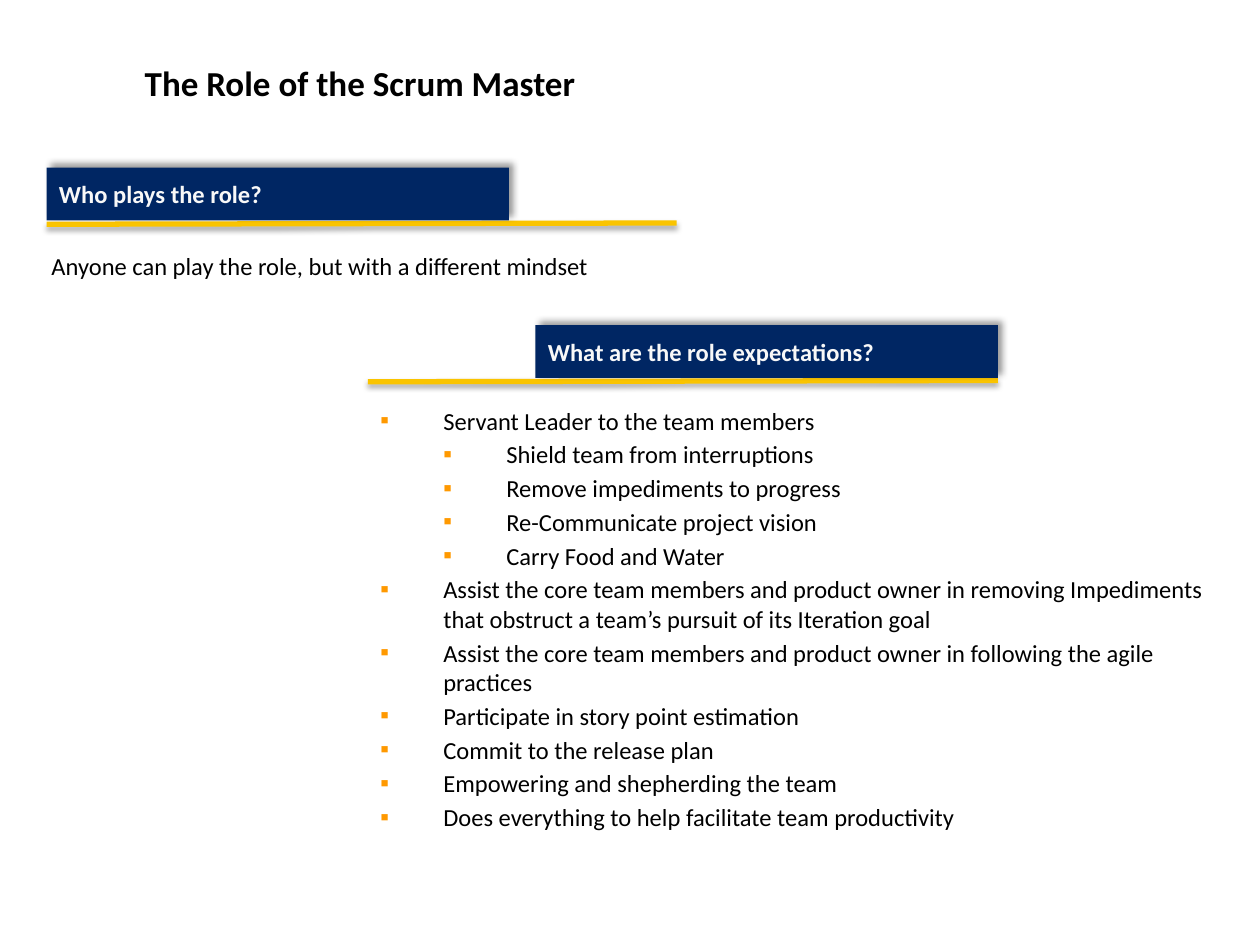
from lxml import etree
from pptx import Presentation
from pptx.dml.color import RGBColor
from pptx.enum.shapes import MSO_CONNECTOR, MSO_SHAPE
from pptx.enum.text import MSO_ANCHOR
from pptx.oxml.ns import qn
from pptx.util import Inches, Pt

RECTANGLE = MSO_SHAPE.RECTANGLE
STRAIGHT = MSO_CONNECTOR.STRAIGHT
MIDDLE = MSO_ANCHOR.MIDDLE

COLORS = {
    "text": "000000",
    "banner": "002663",
    "banner_text": "F8F8F8",
    "rule": "FAC400",
    "bullet": "FF9900",
}
FONT = "Calibri"
BODY_SIZE = 14
BANNER_WIDTH, BANNER_HEIGHT = Inches(3.67), Inches(0.42)
RULE_WIDTH = Inches(5)
INDENT = Inches(0.5)

EXPECTATIONS = [
    (1, "Servant Leader to the team members"),
    (2, "Shield team from interruptions"),
    (2, "Remove impediments to progress"),
    (2, "Re-Communicate project vision"),
    (2, "Carry Food and Water"),
    (1, "Assist the core team members and product owner in removing Impediments "
        "that obstruct a team’s pursuit of its Iteration goal"),
    (1, "Assist the core team members and product owner in following the agile practices"),
    (1, "Participate in story point estimation"),
    (1, "Commit to the release plan"),
    (1, "Empowering and shepherding the team"),
    (1, "Does everything to help facilitate team productivity"),
]


def color(name):
    return RGBColor.from_string(COLORS[name])


def add_shadow(shape, opacity, blur, distance, angle):
    """Cast a black outer shadow; blur and distance in points, angle in degrees."""
    properties = shape._element.spPr
    for old in properties.findall(qn("a:effectLst")):
        properties.remove(old)
    effects = etree.SubElement(properties, qn("a:effectLst"))
    shadow = etree.SubElement(
        effects, qn("a:outerShdw"), blurRad=str(Pt(blur)), dist=str(Pt(distance)),
        dir=str(angle * 60000), rotWithShape="0")
    black = etree.SubElement(shadow, qn("a:srgbClr"), val="000000")
    etree.SubElement(black, qn("a:alpha"), val=str(opacity * 1000))


def add_run(paragraph, text, size=BODY_SIZE, color_name="text", bold=False):
    run = paragraph.add_run()
    run.text = text
    run.font.name = FONT
    run.font.size = Pt(size)
    run.font.bold = bold
    run.font.color.rgb = color(color_name)


def add_text_frame(slide, left, top, width, height):
    frame = slide.shapes.add_textbox(left, top, width, height).text_frame
    frame.word_wrap = True
    return frame


def add_bullet(paragraph, level):
    properties = paragraph._p.get_or_add_pPr()
    properties.set("marL", str(level * INDENT))
    properties.set("indent", str(-INDENT))
    bullet_color = etree.SubElement(properties, qn("a:buClr"))
    etree.SubElement(bullet_color, qn("a:srgbClr"), val=COLORS["bullet"])
    etree.SubElement(properties, qn("a:buFont"), typeface=FONT)
    etree.SubElement(properties, qn("a:buChar"), char="▪")


def add_heading(slide, left, top, text, rule_left):
    """Place a banner with a gold rule running under it."""
    rule_top = top + Inches(0.44)
    rule = slide.shapes.add_connector(
        STRAIGHT, rule_left, rule_top + Inches(0.01), rule_left + RULE_WIDTH, rule_top)
    rule.line.color.rgb = color("rule")
    rule.line.width = Pt(3)
    add_shadow(rule, 35, 3.1, 1.8, 90)

    banner = slide.shapes.add_shape(RECTANGLE, left, top, BANNER_WIDTH, BANNER_HEIGHT)
    banner.fill.solid()
    banner.fill.fore_color.rgb = color("banner")
    banner.line.fill.background()
    add_shadow(banner, 40, 4, 3, 315)
    frame = banner.text_frame
    frame.word_wrap = True
    frame.vertical_anchor = MIDDLE
    paragraph = frame.paragraphs[0]
    paragraph._p.get_or_add_pPr().set("algn", "l")
    add_run(paragraph, text, color_name="banner_text", bold=True)


def add_expectations(slide, left, top, width, height):
    frame = add_text_frame(slide, left, top, width, height)
    for index, (level, text) in enumerate(EXPECTATIONS):
        paragraph = frame.add_paragraph() if index else frame.paragraphs[0]
        add_bullet(paragraph, level)
        if index:
            paragraph.space_before = Pt(2.5)
        add_run(paragraph, text)


def main():
    deck = Presentation()
    deck.slide_width, deck.slide_height = Inches(10), Inches(7.5)
    slide = deck.slides.add_slide(deck.slide_layouts[6])

    title = add_text_frame(slide, Inches(1.05), Inches(0.44), Inches(6.52), Inches(0.4))
    add_run(title.paragraphs[0], "The Role of the Scrum Master", size=20, bold=True)

    who_left = Inches(0.37)
    add_heading(slide, who_left, Inches(1.33), "Who plays the role?", who_left)
    answer = add_text_frame(slide, Inches(0.31), Inches(1.94), Inches(5.14), Inches(0.39))
    add_run(answer.paragraphs[0], "Anyone can play the role, but with a different mindset")

    what_left = Inches(4.25)
    rule_left = what_left + BANNER_WIDTH - RULE_WIDTH
    add_heading(slide, what_left, Inches(2.58), "What are the role expectations?", rule_left)
    add_expectations(slide, rule_left, Inches(3.17), Inches(6.75), Inches(4))

    deck.save("out.pptx")


if __name__ == "__main__":
    main()
